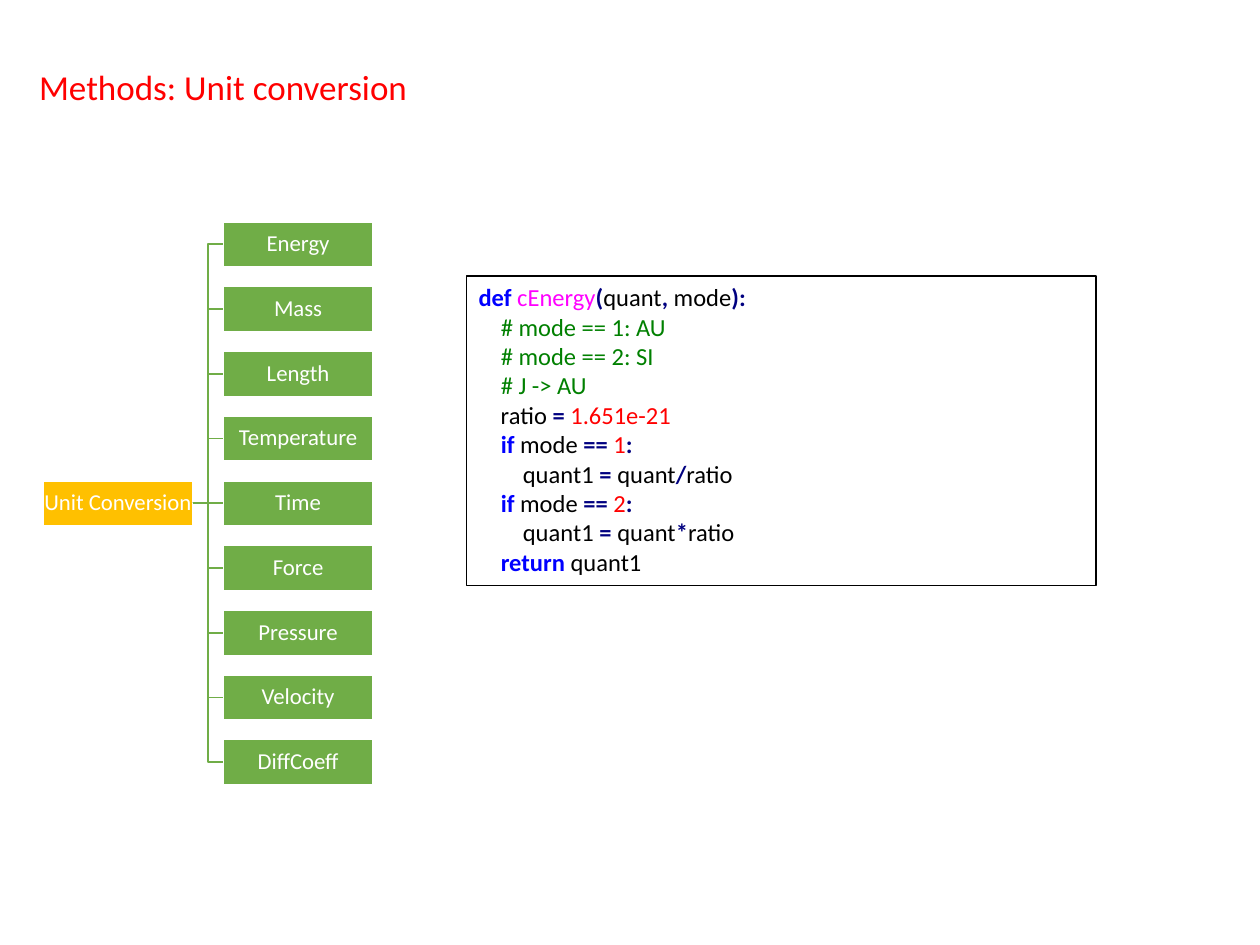
"""Build the unit conversion slide with its hierarchy and code listing."""
from dataclasses import dataclass
from typing import NamedTuple

from lxml.etree import SubElement
from pptx import Presentation
from pptx.dml.color import RGBColor
from pptx.enum.shapes import MSO_CONNECTOR, MSO_SHAPE
from pptx.enum.text import MSO_ANCHOR, PP_ALIGN
from pptx.oxml.ns import qn
from pptx.util import Inches, Pt

COLORS = {
    "title": "FF0000", "root": "FFC000", "branch": "70AD47", "white": "FFFFFF",
    "border": "000000", "text": "000000", "keyword": "0000FF",
    "function": "FF00FF", "operator": "000080", "comment": "008000",
    "number": "FF0000",
}
BOLD = {"keyword", "operator"}
QUANTITIES = ["Energy", "Mass", "Length", "Temperature", "Time", "Force",
              "Pressure", "Velocity", "DiffCoeff"]
BOX_W, BOX_H = 1.19, 0.36
ROOT_X, BRANCH_X = 0.34, 1.77
FIRST_Y, LAST_Y = 1.76, 5.87


@dataclass
class Box:
    text: str
    x: float
    y: float
    fill: str


class Token(NamedTuple):
    text: str
    kind: str = "text"


def mode_branch(mode: str, operator: str) -> list[list[Token]]:
    return [
        [Token("    "), Token("if", "keyword"), Token(" mode "),
         Token("==", "operator"), Token(" "), Token(mode, "number"),
         Token(":", "operator")],
        [Token("        quant1 "), Token("=", "operator"), Token(" quant"),
         Token(operator, "operator"), Token("ratio")],
    ]


CODE = [
    [Token("def", "keyword"), Token(" "), Token("cEnergy", "function"),
     Token("(", "operator"), Token("quant"), Token(",", "operator"),
     Token(" mode"), Token("):", "operator")],
    *[[Token("    "), Token(note, "comment")]
      for note in ("# mode == 1: AU", "# mode == 2: SI", "# J -> AU")],
    [Token("    ratio "), Token("=", "operator"), Token(" "),
     Token("1.651e-21", "number")],
    *mode_branch("1", "/"),
    *mode_branch("2", "*"),
    [Token("    "), Token("return", "keyword"), Token(" quant1")],
]


def rgb(name: str) -> RGBColor:
    return RGBColor.from_string(COLORS[name])


def set_attrs(obj, formats: dict) -> None:
    for name, value in formats.items():
        setattr(obj, name, value)


def add_run(p, text: str, size: float, color: str, bold: bool = False) -> None:
    r = p.add_run()
    r.text = text
    set_attrs(r.font, {"name": "Calibri", "size": Pt(size), "bold": bold})
    r.font.color.rgb = rgb(color)


def add_rect(s, x: float, y: float, w: float, h: float, line: str, width: float):
    sp = s.shapes.add_shape(MSO_SHAPE.RECTANGLE, Inches(x), Inches(y),
                            Inches(w), Inches(h))
    sp.shadow.inherit = False
    sp.line.color.rgb = rgb(line)
    sp.line.width = Pt(width)
    return sp


def add_box(s, box: Box):
    sp = add_rect(s, box.x, box.y, BOX_W, BOX_H, "white", 1)
    sp.fill.solid()
    sp.fill.fore_color.rgb = rgb(box.fill)
    tf = sp.text_frame
    margins = ("margin_left", "margin_top", "margin_right", "margin_bottom")
    set_attrs(tf, {"word_wrap": True, "vertical_anchor": MSO_ANCHOR.MIDDLE,
                   **dict.fromkeys(margins, Inches(0.01))})
    p = tf.paragraphs[0]
    set_attrs(p, {"alignment": PP_ALIGN.CENTER, "line_spacing": 0.9})
    add_run(p, box.text, 13, "white")
    return sp


def link(s, root, branch) -> None:
    kind = MSO_CONNECTOR.STRAIGHT if root.top == branch.top else MSO_CONNECTOR.ELBOW
    cxn = s.shapes.add_connector(kind, 0, 0, 0, 0)
    cxn.begin_connect(root, 3)
    cxn.end_connect(branch, 1)
    cxn.line.color.rgb = rgb("branch")
    cxn.line.width = Pt(1)
    SubElement(cxn._element.spPr, qn("a:effectLst"))


def add_title(s) -> None:
    sp = s.shapes.title
    set_attrs(sp, {"left": Inches(0.21), "top": Inches(0.47),
                   "width": Inches(5.01), "height": Inches(0.44)})
    tf = sp.text_frame
    set_attrs(tf, {"word_wrap": True, "vertical_anchor": MSO_ANCHOR.TOP})
    p = tf.paragraphs[0]
    p.alignment = PP_ALIGN.LEFT
    add_run(p, "Methods: Unit conversion", 20, "title")


def add_hierarchy(s) -> None:
    step = (LAST_Y - FIRST_Y) / (len(QUANTITIES) - 1)
    root = add_box(s, Box("Unit Conversion", ROOT_X, (FIRST_Y + LAST_Y) / 2, "root"))
    branches = [add_box(s, Box(name, BRANCH_X, FIRST_Y + i * step, "branch"))
                for i, name in enumerate(QUANTITIES)]
    root.top = branches[len(branches) // 2].top
    for branch in branches:
        link(s, root, branch)


def add_code(s) -> None:
    sp = add_rect(s, 3.7, 2.19, 5, 2.46, "border", 0.75)
    sp.fill.background()
    tf = sp.text_frame
    set_attrs(tf, {"word_wrap": True, "vertical_anchor": MSO_ANCHOR.TOP})
    for i, tokens in enumerate(CODE):
        p = tf.add_paragraph() if i else tf.paragraphs[0]
        p.alignment = PP_ALIGN.LEFT
        for token in tokens:
            add_run(p, token.text, 14, token.kind, token.kind in BOLD)


def main() -> None:
    prs = Presentation()
    set_attrs(prs, {"slide_width": Inches(10), "slide_height": Inches(7.5)})
    s = prs.slides.add_slide(prs.slide_layouts[5])
    add_title(s)
    add_hierarchy(s)
    add_code(s)
    prs.save("out.pptx")


if __name__ == "__main__":
    main()
